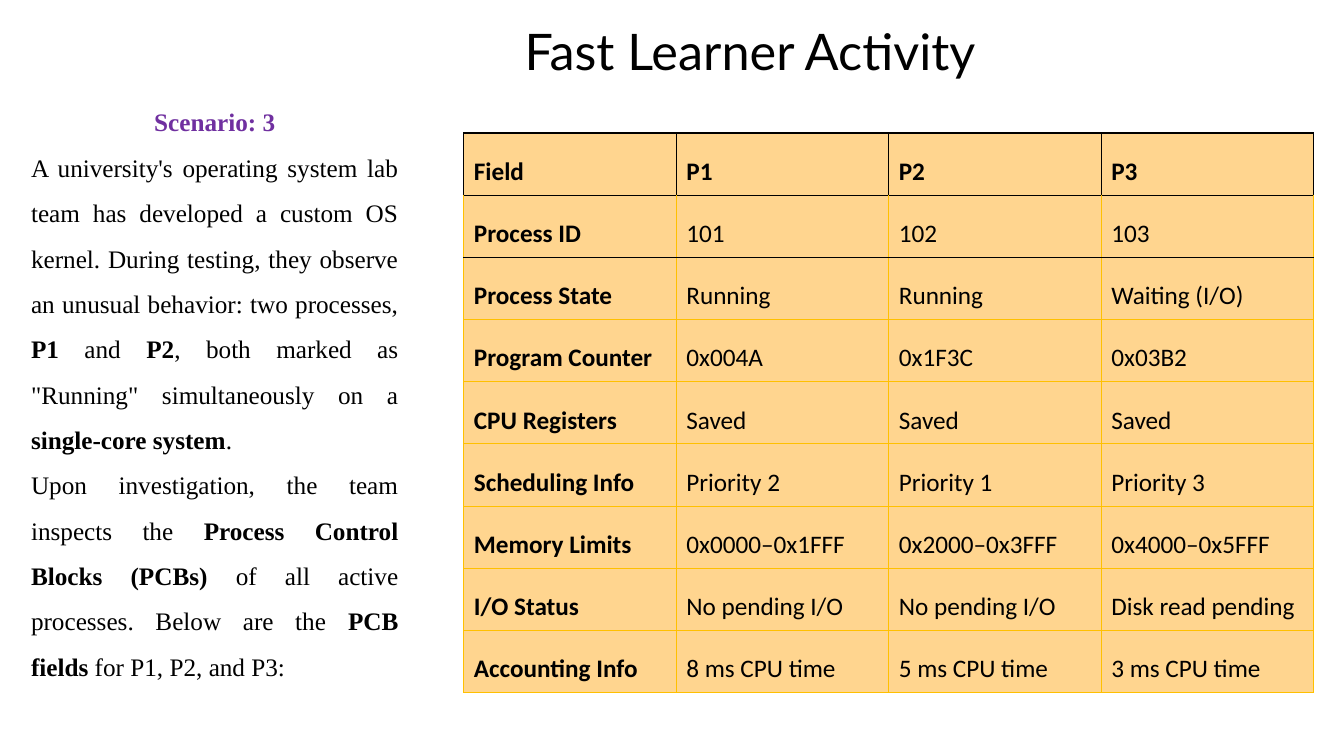
"""Build the Fast Learner Activity slide on process control blocks."""
from lxml import etree
from pptx import Presentation
from pptx.dml.color import RGBColor
from pptx.enum.text import MSO_ANCHOR, PP_ALIGN
from pptx.oxml.ns import qn
from pptx.util import Inches, Pt

TITLE = "Fast Learner Activity"
HEAD = "Scenario: 3"
STORY = [
    [("A university's operating system lab team has developed a custom OS kernel. "
      "During testing, they observe an unusual behavior: two processes, ", False),
     ("P1", True), (" and ", False), ("P2", True),
     (", both marked as \"Running\" simultaneously on a ", False),
     ("single-core system", True), (".", False)],
    [("Upon investigation, the team inspects the ", False),
     ("Process Control Blocks (PCBs)", True),
     (" of all active processes. Below are the ", False),
     ("PCB fields", True), (" for P1, P2, and P3:", False)],
]
FIELDS = [
    ("Field", "P1", "P2", "P3"),
    ("Process ID", "101", "102", "103"),
    ("Process State", "Running", "Running", "Waiting (I/O)"),
    ("Program Counter", "0x004A", "0x1F3C", "0x03B2"),
    ("CPU Registers", "Saved", "Saved", "Saved"),
    ("Scheduling Info", "Priority 2", "Priority 1", "Priority 3"),
    ("Memory Limits", "0x0000–0x1FFF", "0x2000–0x3FFF", "0x4000–0x5FFF"),
    ("I/O Status", "No pending I/O", "No pending I/O", "Disk read pending"),
    ("Accounting Info", "8 ms CPU time", "5 ms CPU time", "3 ms CPU time"),
]

BLACK = RGBColor(0x00, 0x00, 0x00)
PURPLE = RGBColor(0x70, 0x30, 0xA0)
GOLD = RGBColor(0xFF, 0xC0, 0x00)
PEACH = RGBColor(0xFF, 0xD5, 0x8F)
CENTER, JUSTIFY = PP_ALIGN.CENTER, PP_ALIGN.JUSTIFY
MIDDLE, TOP = MSO_ANCHOR.MIDDLE, MSO_ANCHOR.TOP
SERIF, SANS = "Times New Roman", "Calibri"
DARK, LIGHT = (BLACK, 1), (GOLD, 0.5)


def place(shape, *box):
    shape.left, shape.top, shape.width, shape.height = map(Inches, box)


def add_run(para, text, face, size=18, bold=False, color=BLACK):
    run = para.add_run()
    run.text = text
    font = run.font
    font.name, font.size, font.bold = face, Pt(size), bold
    font.color.rgb = color


def set_para(para, align):
    para.alignment, para.line_spacing = align, 1.5


def add_edge(cell, side, color, width):
    props = cell._tc.get_or_add_tcPr()
    line = etree.SubElement(props, qn("a:ln" + side), w=str(Pt(width)))
    fill = etree.SubElement(line, qn("a:solidFill"))
    etree.SubElement(fill, qn("a:srgbClr"), val=str(color))


def fill_cell(cell, text, row, col):
    cell.vertical_anchor = MIDDLE
    para = cell.text_frame.paragraphs[0]
    set_para(para, JUSTIFY)
    add_run(para, text, SANS, bold=row == 0 or col == 0)
    side = DARK if row == 0 else LIGHT
    above = DARK if row <= 2 else LIGHT
    below = DARK if row <= 1 else LIGHT
    for name, style in zip("LRTB", (side, side, above, below)):
        add_edge(cell, name, *style)
    cell.fill.solid()
    cell.fill.fore_color.rgb = PEACH


def main():
    deck = Presentation()
    deck.slide_width, deck.slide_height = Inches(13.33), Inches(7.5)
    slide = deck.slides.add_slide(deck.slide_layouts[5])

    title = slide.shapes.title
    place(title, 1.86, 0.15, 11.16, 0.71)
    title.text_frame.vertical_anchor = TOP
    para = title.text_frame.paragraphs[0]
    para.alignment = CENTER
    add_run(para, TITLE, "Lato", 36)

    box = slide.shapes.add_textbox(*map(Inches, (0.21, 0.86, 3.84, 6.01)))
    frame = box.text_frame
    frame.word_wrap = True
    para = frame.paragraphs[0]
    set_para(para, CENTER)
    add_run(para, HEAD, SERIF, bold=True, color=PURPLE)
    for parts in STORY:
        para = frame.add_paragraph()
        set_para(para, JUSTIFY)
        for text, bold in parts:
            add_run(para, text, SERIF, bold=bold)

    area = map(Inches, (4.6, 1.32, 8.43, 5.55))
    table = slide.shapes.add_table(len(FIELDS), len(FIELDS[0]), *area).table
    table.first_row = table.horz_banding = False
    for row, items in enumerate(FIELDS):
        for col, text in enumerate(items):
            fill_cell(table.cell(row, col), text, row, col)

    deck.save("out.pptx")


if __name__ == "__main__":
    main()
